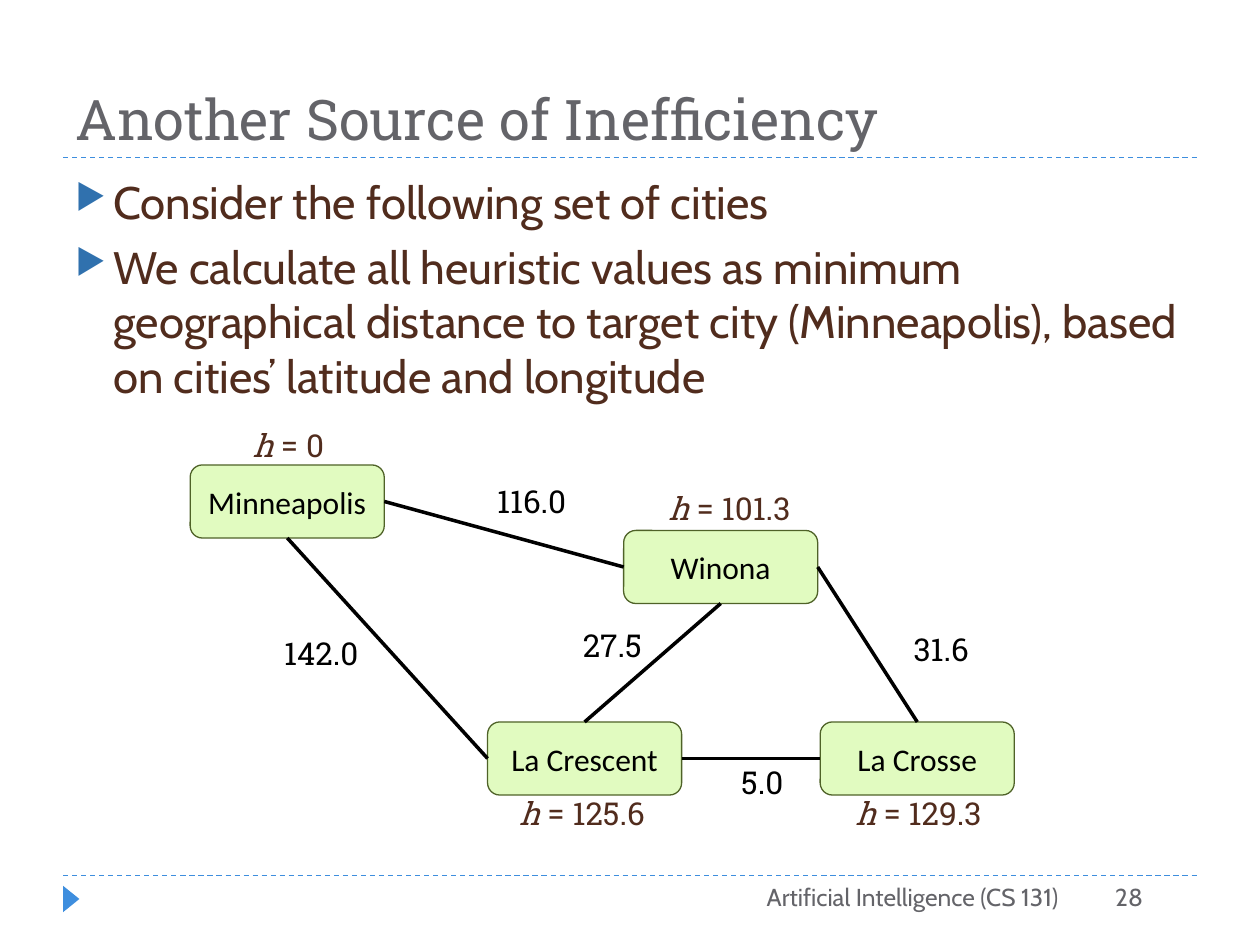
import pptx
import pptx.util
import pptx.dml.color
import pptx.enum.dml
import pptx.enum.shapes
import pptx.enum.text
import pptx.oxml
import pptx.oxml.ns

COLORS = {
    "accent": "3E8EDE", "bullet": "3071AE", "title": "646469",
    "brown": "512C1D", "black": "000000", "node": "E1FBC0", "edge": "4F6228",
}
COLS, ROWS = 100, 75
TOP, LEFT, BOTTOM, RIGHT = range(4)
ALIGN = pptx.enum.text.PP_ALIGN
ANCHOR = pptx.enum.text.MSO_ANCHOR
SHAPE = pptx.enum.shapes.MSO_SHAPE

prs = pptx.Presentation()
prs.slide_width = pptx.util.Inches(10)
prs.slide_height = pptx.util.Inches(7.5)
s = prs.slides.add_slide(prs.slide_layouts[6])


def rgb(name):
    return pptx.dml.color.RGBColor.from_string(COLORS[name])


def grid(*cells):
    """Turn alternating column and row counts into lengths."""
    steps = (prs.slide_width / COLS, prs.slide_height / ROWS)
    return [round(c * steps[i % 2]) for i, c in enumerate(cells)]


def write(tf, text, size=18, font="Roboto Slab", color="black",
          align=ALIGN.LEFT, anchor=ANCHOR.TOP, italic_first=False, bullets=False):
    """Fill a frame with one paragraph per line of text."""
    tf.word_wrap = True
    tf.vertical_anchor = anchor
    for i, line in enumerate(text.split("\n")):
        p = tf.add_paragraph() if i else tf.paragraphs[0]
        p.alignment = align
        parts = (line[0], line[1:]) if italic_first else (line,)
        for j, part in enumerate(parts):
            r = p.add_run()
            r.text = part
            r.font.size = pptx.util.Pt(size)
            r.font.name = font
            r.font.color.rgb = rgb(color)
            r.font.italic = italic_first and j == 0
        if bullets:
            add_bullet(p)


def add_bullet(p):
    p.space_before = pptx.util.Pt(6)
    pPr = p._p.get_or_add_pPr()
    indent = pptx.util.Inches(0.3)
    pPr.set("marL", str(indent))
    pPr.set("indent", str(-indent))
    ns = pptx.oxml.ns.nsdecls("a")
    for xml in (f'<a:buClr {ns}><a:srgbClr val="{COLORS["bullet"]}"/></a:buClr>',
                f'<a:buSzPct {ns} val="76000"/>',
                f'<a:buChar {ns} char="▶"/>'):
        pPr.append(pptx.oxml.parse_xml(xml))


def add_text(x, y, w, h, text, **fmt):
    sp = s.shapes.add_textbox(*grid(x, y, w, h))
    write(sp.text_frame, text, **fmt)


def add_shape(kind, x, y, w, h, fill, line=None):
    sp = s.shapes.add_shape(kind, *grid(x, y, w, h))
    sp.shadow.inherit = False
    sp.fill.solid()
    sp.fill.fore_color.rgb = rgb(fill)
    if line:
        sp.line.color.rgb = rgb(line)
        sp.line.width = pptx.util.Pt(0.75)
    else:
        sp.line.fill.background()
    return sp


def add_line(x1, y1, x2, y2, color="black", width=2, dashed=False):
    c = s.shapes.add_connector(pptx.enum.shapes.MSO_CONNECTOR.STRAIGHT,
                               *grid(x1, y1, x2, y2))
    c.line.color.rgb = rgb(color)
    c.line.width = pptx.util.Pt(width)
    if dashed:
        c.line.dash_style = pptx.enum.dml.MSO_LINE.DASH
    c._element.spPr.append(pptx.oxml.parse_xml(
        f'<a:effectLst {pptx.oxml.ns.nsdecls("a")}/>'))
    return c


def add_rule(x, y, w):
    add_line(x, y, x + w, y, color="accent", width=0.75, dashed=True)


def header(x, y, w, h):
    add_rule(x, y + h, w)
    add_text(x, y, w, h, "Another Source of Inefficiency",
             size=32, color="title", anchor=ANCHOR.BOTTOM)


def body(x, y, w, h):
    add_text(x, y, w, h,
             "Consider the following set of cities\n"
             "We calculate all heuristic values as minimum geographical distance "
             "to target city (Minneapolis), based on cities’ latitude and longitude",
             size=26, font="Cabin", color="brown", bullets=True)


def city_graph(x, y):
    node_w, node_h = 15.4, 5.8
    label_w, label_h, distance_w = 15.8, 4, 11

    # City: column, row, heuristic, and offset of the heuristic label
    cities = {
        "Winona": (34.5, 8.8, "101.3", 0.5, -3.8),
        "La Crosse": (50.1, 24, "129.3", -0.1, 5.2),
        "Minneapolis": (0.1, 3.6, "0", -0.1, -3.6),
        "La Crescent": (23.7, 24, "125.6", -0.4, 5.2),
    }
    nodes = {}
    for city, (cx, cy, value, dx, dy) in cities.items():
        sp = add_shape(SHAPE.ROUNDED_RECTANGLE, x + cx, y + cy,
                       node_w, node_h, "node", "edge")
        write(sp.text_frame, city, font="Calibri",
              align=ALIGN.CENTER, anchor=ANCHOR.MIDDLE)
        nodes[city] = sp
        add_text(x + cx + dx, y + cy + dy, label_w, label_h, f"h = {value}",
                 color="brown", align=ALIGN.CENTER, italic_first=True)

    # Road: both ends with their sides, distance, and label position
    roads = [
        ("La Crescent", RIGHT, "La Crosse", LEFT, "5.0", 40, 26.8),
        ("Winona", RIGHT, "La Crosse", TOP, "31.6", 54.2, 16.2),
        ("Winona", BOTTOM, "La Crescent", TOP, "27.5", 28.1, 15.9),
        ("Minneapolis", RIGHT, "Winona", LEFT, "116.0", 21.7, 4.5),
        ("Minneapolis", BOTTOM, "La Crescent", LEFT, "142.0", 5, 16.5),
    ]
    for start, side1, end, side2, distance, lx, ly in roads:
        c = add_line(x, y, x, y)
        c.begin_connect(nodes[start], side1)
        c.end_connect(nodes[end], side2)
        add_text(x + lx, y + ly, distance_w, label_h, distance, align=ALIGN.CENTER)


def footer(x, y, w, h):
    add_rule(x, y, w)
    marker = add_shape(SHAPE.ISOSCELES_TRIANGLE, x - 0.4, y + 1.2, 2.1, 1.3, "accent")
    marker.rotation = 90
    fmt = dict(size=14, font="Cabin", color="title", align=ALIGN.RIGHT)
    add_text(x + 33.3, y, 46.7, h, "Artificial Intelligence (CS 131)", **fmt)
    add_text(x + 75.8, y, 10.9, h, "28", **fmt)


header(5, 1.7, 90, 10.8)
body(5, 13.3, 90, 17.5)
city_graph(15, 33.3)
footer(5, 69.5, 90, 4)
prs.save("out.pptx")
